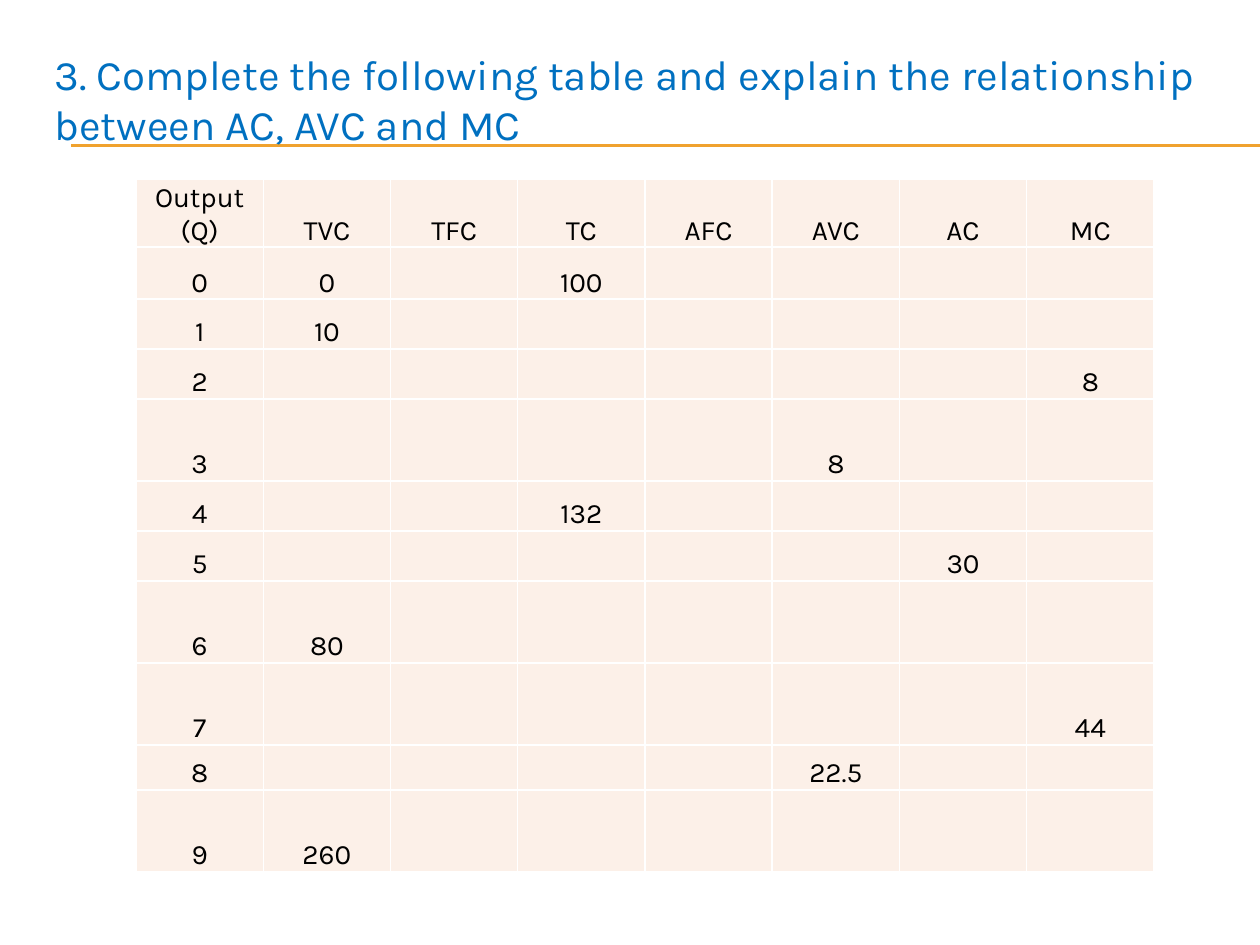
import pptx
import pptx.dml.color
import pptx.enum.shapes
import pptx.enum.text
import pptx.oxml.ns
import pptx.util
from lxml import etree

EMU_PER_PX = 914400 // 126
HEADINGS = ["Output (Q)", "TVC", "TFC", "TC", "AFC", "AVC", "AC", "MC"]
ROW_HEIGHTS = [48, 52, 50, 50, 82, 50, 50, 82, 82, 45, 82]
GIVEN_VALUES = [
    {"TVC": "0", "TC": "100"},
    {"TVC": "10"},
    {"MC": "8"},
    {"AVC": "8"},
    {"TC": "132"},
    {"AC": "30"},
    {"TVC": "80"},
    {"MC": "44"},
    {"AVC": "22.5"},
    {"TVC": "260"},
]


def px(length):
    return pptx.util.Emu(length * EMU_PER_PX)


def color(value):
    return pptx.dml.color.RGBColor.from_string(value)


class SlideBuilder:
    font_name = "Karla"
    title_color = "0070C0"
    text_color = "000000"
    rule_color = "F0A22E"
    cell_color = "FCF0E8"
    border_color = "FFFFFF"

    def __init__(self, slide):
        self.slide = slide

    def format_runs(self, paragraph, size, hex_color):
        for run in paragraph.runs:
            run.font.name = self.font_name
            run.font.size = pptx.util.Pt(size)
            run.font.color.rgb = color(hex_color)

    def rule(self, left, right, y):
        connector = self.slide.shapes.add_connector(
            pptx.enum.shapes.MSO_CONNECTOR.STRAIGHT, px(left), px(y), px(right), px(y)
        )
        connector.line.color.rgb = color(self.rule_color)
        connector.line.width = pptx.util.Pt(0.75)
        properties = connector._element.spPr
        etree.SubElement(properties, pptx.oxml.ns.qn("a:effectLst"))

    def text(self, left, top, width, height, content):
        shape = self.slide.shapes.add_textbox(px(left), px(top), px(width), px(height))
        shape.text_frame.word_wrap = True
        shape.text_frame.text = content
        self.format_runs(shape.text_frame.paragraphs[0], 24, self.title_color)

    def borders(self, cell):
        properties = cell._tc.get_or_add_tcPr()
        for side in ("lnL", "lnR", "lnT", "lnB"):
            line = etree.SubElement(
                properties, pptx.oxml.ns.qn(f"a:{side}"), w=str(pptx.util.Pt(1))
            )
            fill = etree.SubElement(line, pptx.oxml.ns.qn("a:solidFill"))
            etree.SubElement(fill, pptx.oxml.ns.qn("a:srgbClr"), val=self.border_color)

    def cell(self, cell, content):
        self.borders(cell)
        cell.fill.solid()
        cell.fill.fore_color.rgb = color(self.cell_color)
        cell.margin_left = cell.margin_right = cell.margin_top = px(1)
        cell.margin_bottom = 0
        cell.vertical_anchor = pptx.enum.text.MSO_ANCHOR.BOTTOM
        cell.text_frame.text = content
        paragraph = cell.text_frame.paragraphs[0]
        paragraph.alignment = pptx.enum.text.PP_ALIGN.CENTER
        self.format_runs(paragraph, 16, self.text_color)

    def table(self, left, top, width, row_heights, rows):
        frame = self.slide.shapes.add_table(
            len(rows), len(rows[0]), px(left), px(top), px(width), px(sum(row_heights))
        )
        table = frame.table
        table.first_row = False
        table.horz_banding = False
        for row, height, contents in zip(table.rows, row_heights, rows):
            row.height = px(height)
            for cell, content in zip(row.cells, contents):
                self.cell(cell, content)


def main():
    presentation = pptx.Presentation()
    presentation.slide_width = px(1260)
    presentation.slide_height = px(945)
    builder = SlideBuilder(presentation.slides.add_slide(presentation.slide_layouts[6]))

    for y in (145, 146):
        builder.rule(71, 1260, y)
    builder.text(
        42, 42, 1197, 796,
        "3. Complete the following table and explain the relationship "
        "between AC, AVC and MC",
    )
    rows = [HEADINGS]
    for output, given in enumerate(GIVEN_VALUES):
        rows.append([str(output)] + [given.get(name, "") for name in HEADINGS[1:]])
    builder.table(136, 179, 1018, ROW_HEIGHTS, rows)

    presentation.save("out.pptx")


if __name__ == "__main__":
    main()
